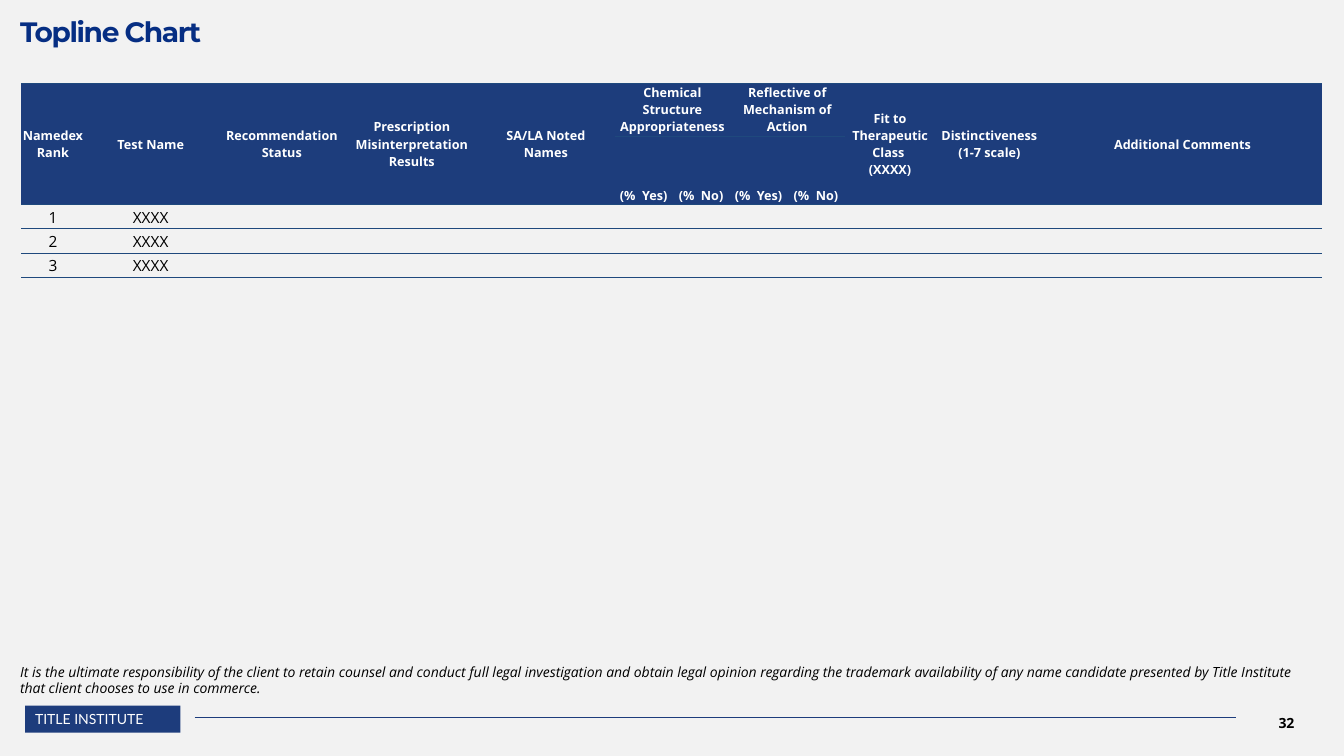
import dataclasses

import pptx
import pptx.dml.color
import pptx.enum.shapes
import pptx.enum.text
import pptx.oxml.ns
import pptx.util
from lxml import etree
from pptx.util import Inches

ANCHOR = pptx.enum.text.MSO_ANCHOR
ALIGN = pptx.enum.text.PP_ALIGN


@dataclasses.dataclass(frozen=True)
class Theme:
    paper: str = "F2F2F2"
    header: str = "1D3D7C"
    footer: str = "1D3C7C"
    rule: str = "1F497D"
    title: str = "062E83"
    ink: str = "000000"
    white: str = "FFFFFF"
    body_font: str = "Open Sans"
    title_font: str = "Montserrat"
    label_font: str = "Lato"
    title_size: int = 20
    header_size: int = 9
    body_size: int = 11
    note_size: int = 10
    line_width: float = 0.5


THEME = Theme()

COLUMN_WIDTHS = [0.63, 1.31, 1.29, 1.29, 1.37, 0.57, 0.57, 0.57, 0.57, 0.9, 1.07, 2.76]
ROW_HEIGHTS = [0.52, 0.68, 0.24, 0.24, 0.24]
# Column, columns spanned, rows spanned, paragraphs
HEADINGS = [
    (0, 1, 2, ["Namedex Rank"]),
    (1, 1, 2, ["Test Name"]),
    (2, 1, 2, ["Recommendation Status"]),
    (3, 1, 2, ["Prescription Misinterpretation Results"]),
    (4, 1, 2, ["SA/LA Noted", "Names"]),
    (5, 2, 1, ["Chemical Structure Appropriateness"]),
    (7, 2, 1, ["Reflective of Mechanism of Action"]),
    (9, 1, 2, ["Fit to Therapeutic Class \n(XXXX)"]),
    (10, 1, 2, ["Distinctiveness", "(1-7 scale)"]),
    (11, 1, 2, ["Additional Comments"]),
]
SUBHEADINGS = {5: "(%  Yes)", 6: "(%  No)", 7: "(%  Yes)", 8: "(%  No)"}
TEST_NAMES = ["XXXX", "XXXX", "XXXX"]
DISCLAIMER = (
    "It is the ultimate responsibility of the client to retain counsel and conduct "
    "full legal investigation and obtain legal opinion regarding the trademark "
    "availability of any name candidate presented by Title Institute that client "
    "chooses to use in commerce."
)


def rgb(code):
    return pptx.dml.color.RGBColor.from_string(code)


def add_span(para, text, size, color, font=THEME.body_font, bold=False, italic=False):
    span = para.add_run()
    span.text = text
    span.font.size = pptx.util.Pt(size)
    span.font.name = font
    span.font.bold = bold
    span.font.italic = italic
    span.font.color.rgb = rgb(color)
    return span


def set_insets(holder, insets):
    """Set left, top, right and bottom margins of a text frame or a table cell."""
    for side, inset in zip(("left", "top", "right", "bottom"), insets):
        setattr(holder, "margin_" + side, Inches(inset))


def add_box(page, place, insets, anchor=ANCHOR.TOP):
    frame = page.shapes.add_textbox(*map(Inches, place)).text_frame
    frame.word_wrap = True
    frame.vertical_anchor = anchor
    set_insets(frame, insets)
    return frame.paragraphs[0]


def add_title(page):
    para = add_box(page, (0.2, 0, 12.82, 0.48), (0, 0.21, 0, 0))
    para.line_spacing = 0.8
    span = add_span(para, "Topline Chart", THEME.title_size, THEME.title,
                    THEME.title_font, bold=True)
    span.font._element.set("spc", "-100")


def add_footer(page):
    number = add_box(page, (12.21, 6.97, 1.1, 0.4), (0.1, 0.05, 0.1, 0.05), ANCHOR.MIDDLE)
    number.alignment = ALIGN.CENTER
    add_span(number, "32", THEME.note_size, THEME.ink, bold=True)

    label = page.shapes.add_shape(pptx.enum.shapes.MSO_SHAPE.RECTANGLE,
                                  *map(Inches, (0.25, 7, 1.54, 0.27)))
    label.shadow.inherit = False
    label.fill.solid()
    label.fill.fore_color.rgb = rgb(THEME.footer)
    label.line.fill.background()
    label.text_frame.word_wrap = False
    label.text_frame.vertical_anchor = ANCHOR.TOP
    para = label.text_frame.paragraphs[0]
    para.alignment = ALIGN.LEFT
    add_span(para, "TITLE INSTITUTE", THEME.note_size, THEME.white, THEME.label_font)

    line = page.shapes.add_connector(pptx.enum.shapes.MSO_CONNECTOR.STRAIGHT,
                                     *map(Inches, (1.93, 7.12, 12.26, 7.12)))
    line.line.color.rgb = rgb(THEME.footer)
    line.line.width = pptx.util.Pt(THEME.line_width)
    etree.SubElement(line._element.spPr, pptx.oxml.ns.qn("a:effectLst"))


def style_cell(cell, fill):
    """Fill a cell and give it horizontal rules only."""
    properties = cell._tc.get_or_add_tcPr()
    for side in ("L", "R", "T", "B"):
        border = etree.SubElement(properties, pptx.oxml.ns.qn("a:ln" + side))
        if side in "LR":
            etree.SubElement(border, pptx.oxml.ns.qn("a:noFill"))
        else:
            border.set("w", str(pptx.util.Pt(THEME.line_width)))
            solid = etree.SubElement(border, pptx.oxml.ns.qn("a:solidFill"))
            etree.SubElement(solid, pptx.oxml.ns.qn("a:srgbClr"), val=THEME.rule)
    cell.fill.solid()
    cell.fill.fore_color.rgb = rgb(fill)
    set_insets(cell, (0.01, 0.01, 0.01, 0))
    cell.vertical_anchor = ANCHOR.MIDDLE


def write_cell(cell, texts, size, color, bold=False):
    frame = cell.text_frame
    for index, text in enumerate(texts):
        para = frame.add_paragraph() if index else frame.paragraphs[0]
        para.alignment = ALIGN.CENTER
        for part, words in enumerate(text.split("\n")):
            if part:
                para.add_line_break()
            add_span(para, words, size, color, bold=bold)


def set_empty_size(cell, size):
    """Keep an empty cell from stretching its row."""
    etree.SubElement(cell.text_frame.paragraphs[0]._p,
                     pptx.oxml.ns.qn("a:endParaRPr"), sz=str(size * 100))


def add_topline_table(page):
    table = page.shapes.add_table(
        len(ROW_HEIGHTS), len(COLUMN_WIDTHS), Inches(0.21), Inches(0.83),
        Inches(sum(COLUMN_WIDTHS)), Inches(sum(ROW_HEIGHTS))).table
    table.horz_banding = False
    table.first_row = False
    for column, width in zip(table.columns, COLUMN_WIDTHS):
        column.width = Inches(width)
    for index, (row, height) in enumerate(zip(table.rows, ROW_HEIGHTS)):
        row.height = Inches(height)
        for cell in row.cells:
            style_cell(cell, THEME.header if index < 2 else THEME.paper)

    for column, across, down, texts in HEADINGS:
        cell = table.cell(0, column)
        cell.merge(table.cell(down - 1, column + across - 1))
        set_insets(cell, (0, 0, 0, 0))
        write_cell(cell, texts, THEME.header_size, THEME.white, bold=True)
    for column, text in SUBHEADINGS.items():
        cell = table.cell(1, column)
        cell.vertical_anchor = ANCHOR.BOTTOM
        write_cell(cell, [text], THEME.header_size, THEME.white, bold=True)
    for rank, name in enumerate(TEST_NAMES, start=1):
        for column, text in enumerate((str(rank), name)):
            write_cell(table.cell(rank + 1, column), [text], THEME.body_size, THEME.ink)
    for cell in table.iter_cells():
        if not cell.text_frame.text:
            set_empty_size(cell, THEME.header_size)


def add_disclaimer(page):
    para = add_box(page, (0.2, 6.53, 12.92, 0.3), (0, 0.05, 0.1, 0.05))
    add_span(para, DISCLAIMER, THEME.note_size, THEME.ink, italic=True)


def main():
    deck = pptx.Presentation()
    deck.slide_width, deck.slide_height = Inches(13.33), Inches(7.5)
    page = deck.slides.add_slide(deck.slide_layouts[6])
    page.background.fill.solid()
    page.background.fill.fore_color.rgb = rgb(THEME.paper)
    add_footer(page)
    add_title(page)
    add_topline_table(page)
    add_disclaimer(page)
    deck.save("out.pptx")


if __name__ == "__main__":
    main()
